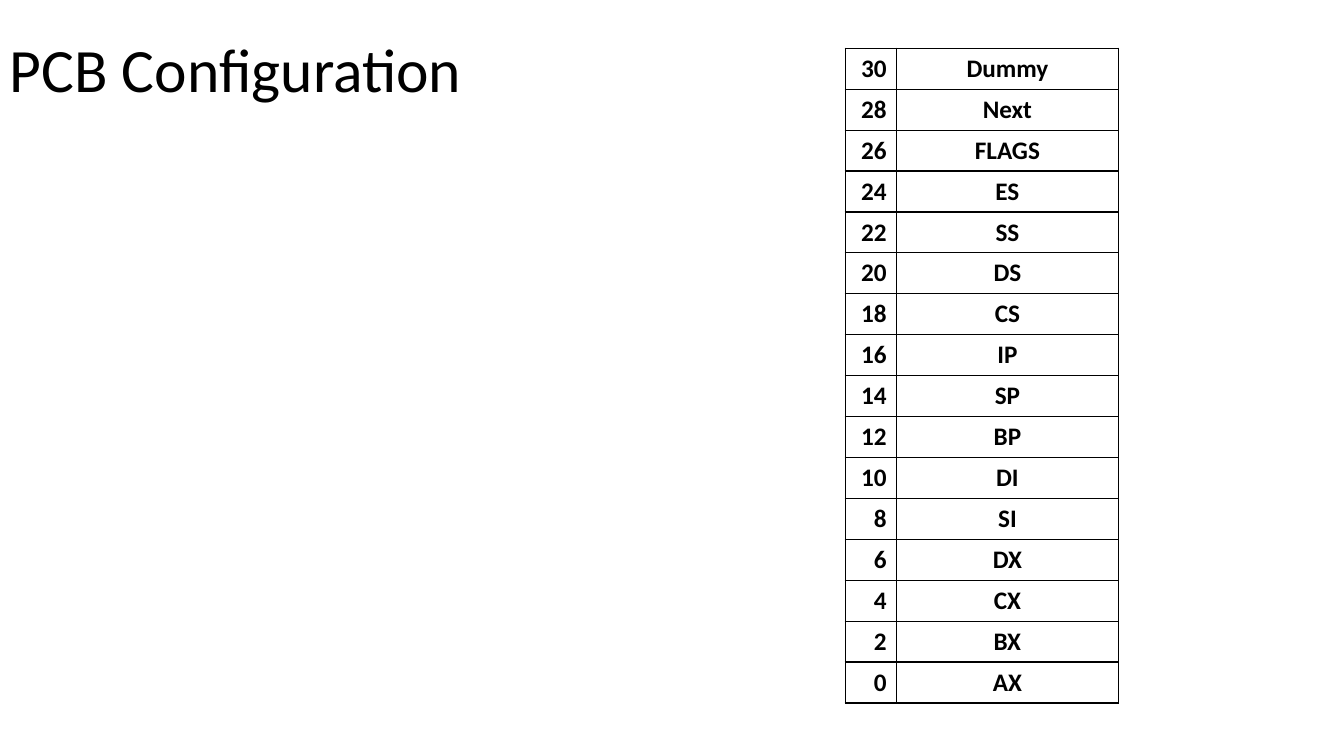
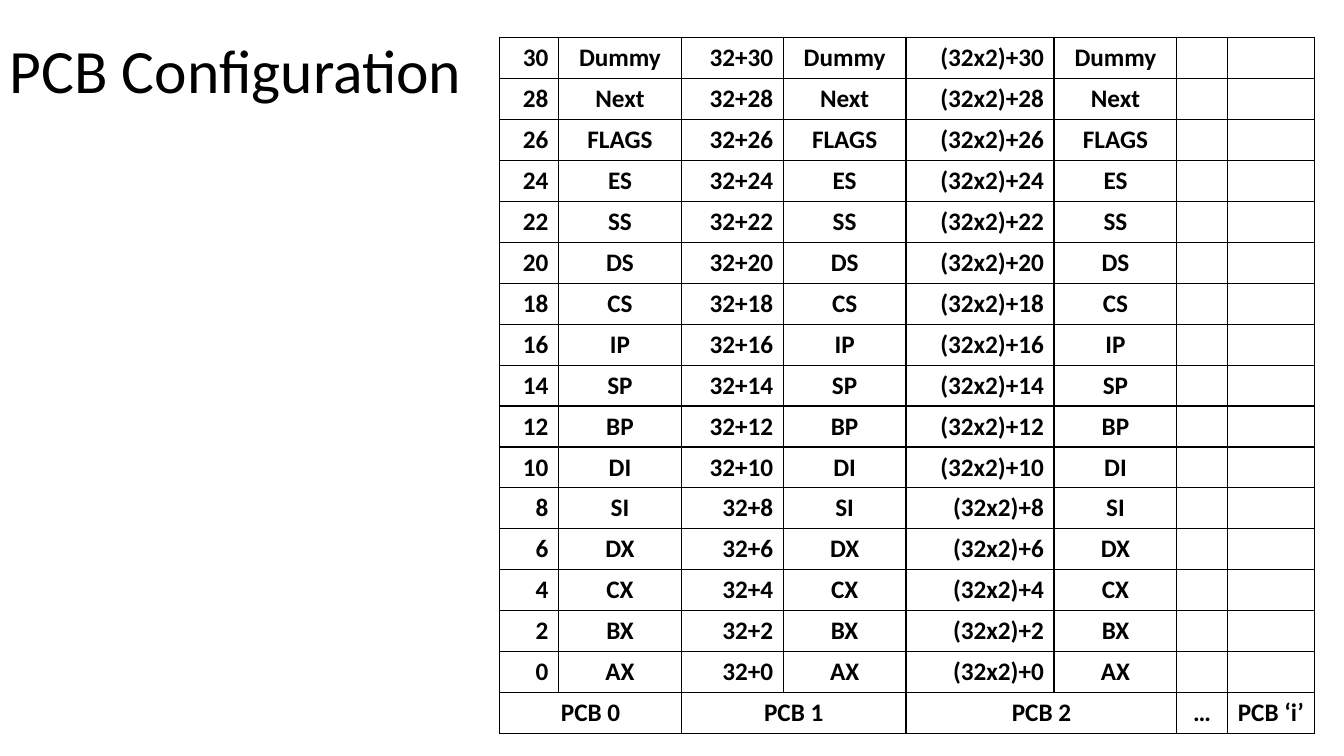
from dataclasses import dataclass

from lxml.etree import SubElement
from pptx import Presentation
from pptx.dml.color import RGBColor
from pptx.enum.text import MSO_ANCHOR, PP_ALIGN
from pptx.oxml.ns import qn
from pptx.util import Pt


@dataclass(frozen=True)
class Theme:
    font: str = "Calibri"
    ink: str = "000000"
    title_size: int = 44
    cell_size: int = 18
    border_width: int = 1


theme = Theme()
PX = 9525
ROW_HEIGHT = 39
TITLE_WIDTH, TITLE_HEIGHT = 1104, 139
REGISTERS = ["Dummy", "Next", "FLAGS", "ES", "SS", "DS", "CS", "IP",
             "SP", "BP", "DI", "SI", "DX", "CX", "BX", "AX"]
OFFSETS = range(30, -1, -2)


def write_text(text_frame, text, size, bold=False, align=PP_ALIGN.LEFT, spacing=1.0):
    paragraph = text_frame.paragraphs[0]
    paragraph.alignment = align
    paragraph.line_spacing = spacing
    run = paragraph.add_run()
    run.text = text
    run.font.name = theme.font
    run.font.size = Pt(size)
    run.font.bold = bold
    run.font.color.rgb = RGBColor.from_string(theme.ink)


def draw_borders(cell):
    properties = cell._tc.get_or_add_tcPr()
    for side in ("a:lnL", "a:lnR", "a:lnT", "a:lnB"):
        line = SubElement(properties, qn(side), w=str(Pt(theme.border_width)))
        fill = SubElement(line, qn("a:solidFill"))
        SubElement(fill, qn("a:srgbClr"), val=theme.ink)


single_rows = [[str(offset), register] for offset, register in zip(OFFSETS, REGISTERS)]
array_rows = []
for offset, register in zip(OFFSETS, REGISTERS):
    row = []
    for base in ("", "32+", "(32x2)+"):
        row += [f"{base}{offset}", register]
    array_rows.append(row + ["", ""])
array_rows.append(["PCB 0", "", "PCB 1", "", "PCB 2", "", "…", "PCB ‘i’"])

slides = [
    {"title_top": 0, "left": 805, "top": 46, "rows": single_rows,
     "columns": [49, 211], "merged": []},
    {"title_top": 1, "left": 476, "top": 36, "rows": array_rows,
     "columns": [56, 117, 97, 117, 141, 117, 48, 83], "merged": [0, 2, 4]},
]

presentation = Presentation()
presentation.slide_width = 1280 * PX
presentation.slide_height = 720 * PX
blank_layout = presentation.slide_layouts[6]

for content in slides:
    slide = presentation.slides.add_slide(blank_layout)

    title = slide.shapes.add_textbox(
        0, content["title_top"] * PX, TITLE_WIDTH * PX, TITLE_HEIGHT * PX)
    title.text_frame.word_wrap = True
    title.text_frame.vertical_anchor = MSO_ANCHOR.MIDDLE
    write_text(title.text_frame, "PCB Configuration", size=theme.title_size, spacing=0.9)

    rows, columns = content["rows"], content["columns"]
    table = slide.shapes.add_table(
        len(rows), len(columns), content["left"] * PX, content["top"] * PX,
        sum(columns) * PX, len(rows) * ROW_HEIGHT * PX).table
    table.first_row = False
    table.horz_banding = False
    for column, width in zip(table.columns, columns):
        column.width = width * PX

    for row_index, row in enumerate(rows):
        table.rows[row_index].height = ROW_HEIGHT * PX
        for column_index, text in enumerate(row):
            cell = table.cell(row_index, column_index)
            draw_borders(cell)
            cell.fill.background()
            is_offset = column_index % 2 == 0 and row_index < len(REGISTERS)
            if text:
                write_text(cell.text_frame, text, size=theme.cell_size, bold=True,
                           align=PP_ALIGN.RIGHT if is_offset else PP_ALIGN.CENTER)

    last_row = len(rows) - 1
    for first_column in content["merged"]:
        table.cell(last_row, first_column).merge(table.cell(last_row, first_column + 1))

presentation.save("out.pptx")
